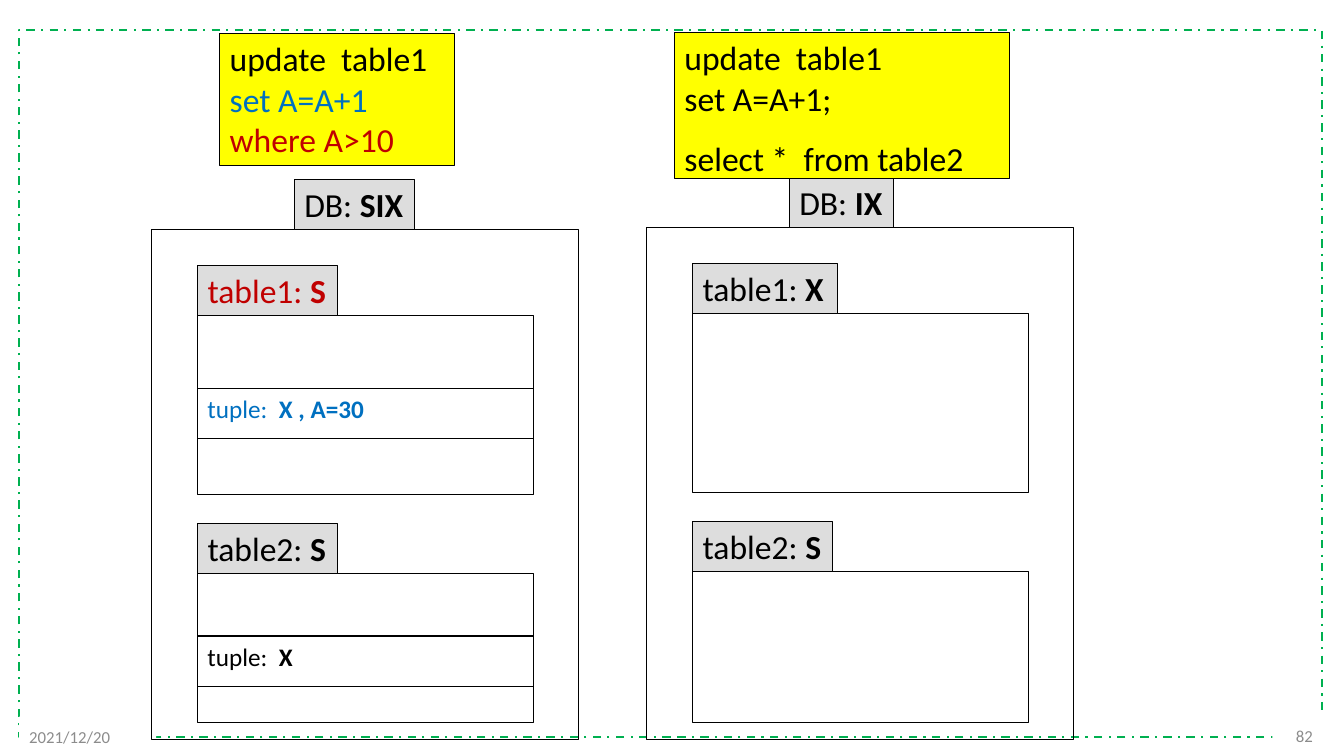
from pptx import Presentation
from pptx.dml.color import RGBColor
from pptx.enum.dml import MSO_LINE
from pptx.enum.shapes import MSO_SHAPE
from pptx.enum.text import MSO_ANCHOR, MSO_AUTO_SIZE, PP_ALIGN
from pptx.util import Inches, Pt

RECT = MSO_SHAPE.RECTANGLE
DASH = MSO_LINE.DASH_DOT
TOP, MIDDLE = MSO_ANCHOR.TOP, MSO_ANCHOR.MIDDLE
GROW, FIXED = MSO_AUTO_SIZE.SHAPE_TO_FIT_TEXT, MSO_AUTO_SIZE.NONE
LEFT, RIGHT = PP_ALIGN.LEFT, PP_ALIGN.RIGHT

HEX = {"black": "000000", "white": "FFFFFF", "yellow": "FFFF00",
       "gray": "DDDDDD", "mute": "8C8C8C", "green": "00B050",
       "blue": "0070C0", "red": "C00000"}
FONT = "Calibri"

# Content: each line is (plain text, bold text, colour)
PANELS = [
    {"at": (1.5, 2.28),
     "query": [("update  table1", "", "black"), ("set A=A+1", "", "blue"),
               ("where A>10", "", "red")],
     "qbox": (2.18, 0.33, 2.33, 1.31), "gap": 1,
     "db": ("DB: ", "SIX", "black"), "dbw": 1.19,
     "tables": [
         {"tag": ("table1: ", "S", "red"), "tagw": 1.39,
          "row": ("tuple:  ", "X , A=30", "blue"), "drop": 0.72},
         {"tag": ("table2: ", "S", "black"), "tagw": 1.39,
          "row": ("tuple:  ", "X", "black"), "drop": 0.62}]},
    {"at": (6.41, 2.26),
     "query": [("update  table1", "", "black"), ("set A=A+1;", "", "black"),
               ("select *  from table2", "", "black")],
     "qbox": (6.69, 0.32, 3.32, 1.45), "gap": 1.5,
     "db": ("DB: ", "IX", "black"), "dbw": 1.03,
     "tables": [
         {"tag": ("table1: ", "X", "black"), "tagw": 1.44},
         {"tag": ("table2: ", "S", "black"), "tagw": 1.39}]},
]
FOOTER = [("82", (12.62, 7.1, 0.5, 0.4), RIGHT),
          ("2021/12/20", (0.19, 7.11, 1.36, 0.4), LEFT)]

# Layout in inches
WIDE, HIGH = 13.33, 7.5
FRAME = (0.19, 0.3, 12.92, 7.01)
PANEL_W, PANEL_END = 4.24, 7.34
TABLE_W, INDENT = 3.33, 0.46
TABLE_TOPS = (0.85, 3.41)       # below the panel's top edge
TABLE_H, TABLE_END = 1.78, 7.17
TAG_H, DB_IN = 0.5, 1.42

deck = Presentation()
deck.slide_width, deck.slide_height = Inches(WIDE), Inches(HIGH)
slide = deck.slides.add_slide(deck.slide_layouts[6])


def color(name):
    return RGBColor.from_string(HEX[name])


def box(at, fill=None, line="black", width=0.75):
    shape = slide.shapes.add_shape(RECT, *(Inches(n) for n in at))
    shape.shadow.inherit = False
    if fill:
        shape.fill.solid()
        shape.fill.fore_color.rgb = color(fill)
    else:
        shape.fill.background()
    if line:
        shape.line.color.rgb = color(line)
        shape.line.width = Pt(width)
    else:
        shape.line.fill.background()
    return shape


def write(shape, lines, size, wrap=False, fit=FIXED, anchor=TOP, align=LEFT):
    frame = shape.text_frame
    frame.word_wrap, frame.auto_size = wrap, fit
    frame.vertical_anchor = anchor
    frame.text = "\n".join(plain for plain, _, _ in lines)
    for para, (_, strong, tint) in zip(frame.paragraphs, lines):
        para.alignment = align
        if strong:
            para.add_run().text = strong
        for i, run in enumerate(para.runs):
            run.font.name, run.font.size = FONT, Pt(size)
            run.font.bold = i > 0
            run.font.color.rgb = color(tint)
    return frame


def tag(x, y, w, label):
    write(box((x, y - TAG_H, w, TAG_H), "gray"), [label], 24, fit=GROW)


# Dashed frame and footer
box(FRAME, line="green", width=1.5).line.dash_style = DASH
for text, at, align in FOOTER:
    write(box(at, "white", None), [(text, "", "mute")], 12,
          wrap=True, anchor=MIDDLE, align=align)

# Lock panels: database, its tables and their locked rows
for panel in PANELS:
    x, y = panel["at"]
    box((x, y, PANEL_W, PANEL_END - y))
    tag(x + DB_IN, y, panel["dbw"], panel["db"])
    left = x + INDENT
    for table, drop in zip(panel["tables"], TABLE_TOPS):
        top = y + drop
        box((left, top, TABLE_W, min(TABLE_H, TABLE_END - top)))
        tag(left, top, table["tagw"], table["tag"])
        if "row" in table:
            row = box((left, top + table["drop"], TABLE_W, TAG_H))
            write(row, [table["row"]], 18)

# Queries above the panels
for panel in PANELS:
    frame = write(box(panel["qbox"], "yellow"), panel["query"], 24,
                  wrap=True, fit=GROW)
    frame.paragraphs[-1].line_spacing = panel["gap"]

deck.save("out.pptx")
